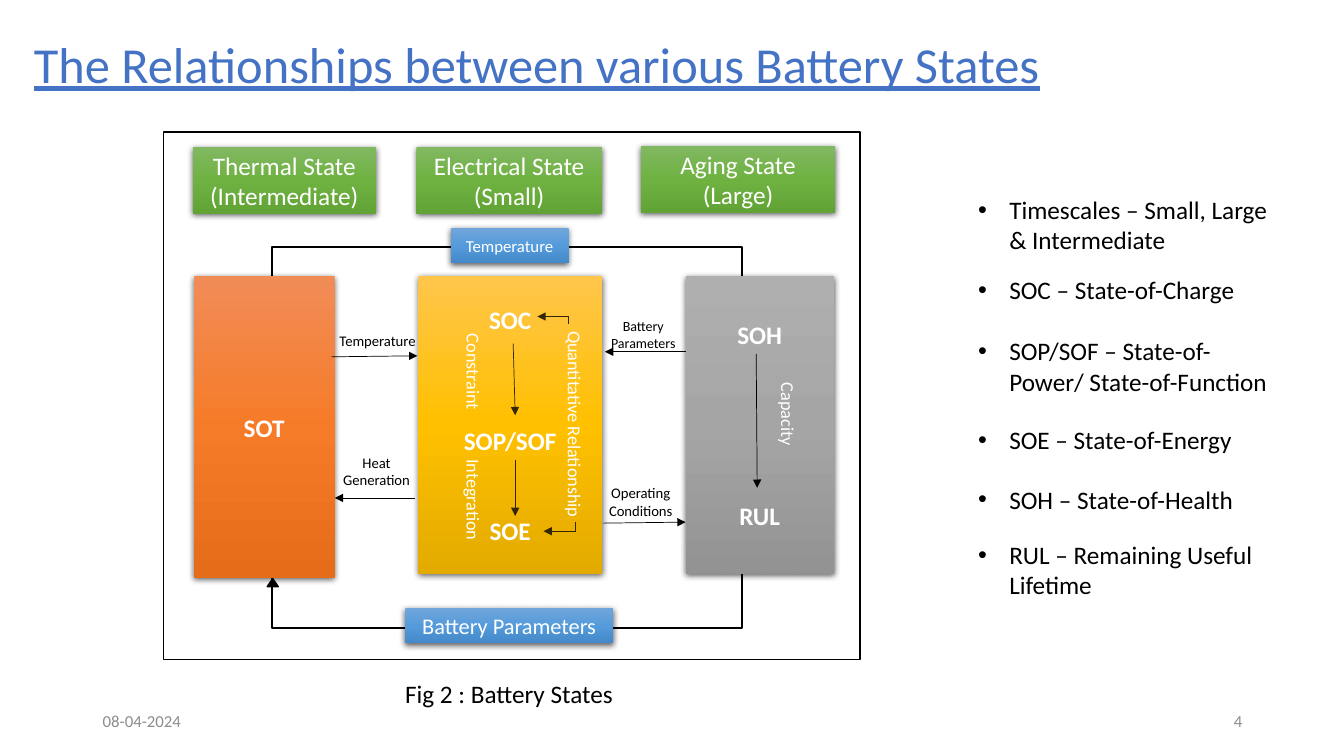
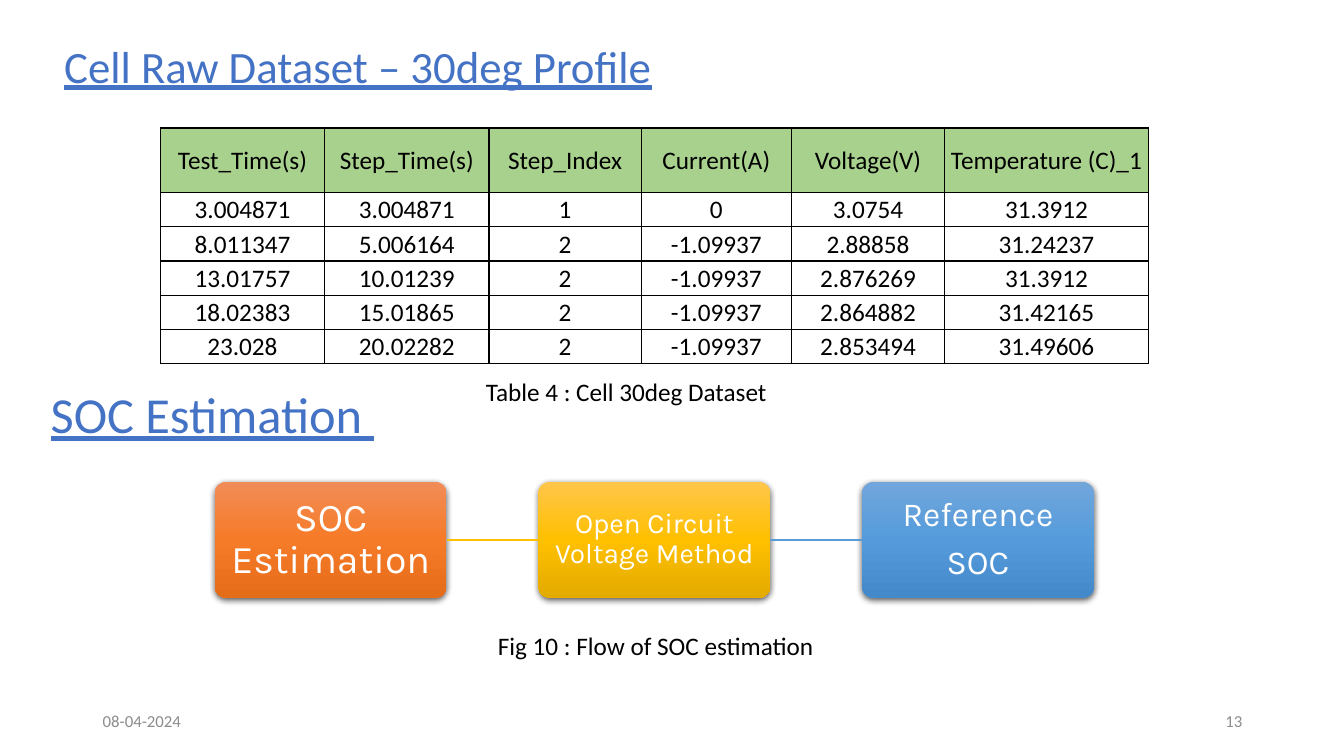
"""Build two slides on battery states and state-of-charge estimation."""
from copy import deepcopy

from lxml.etree import SubElement
from pptx import Presentation
from pptx.dml.color import RGBColor
from pptx.enum.shapes import MSO_CONNECTOR, MSO_SHAPE
from pptx.enum.text import MSO_ANCHOR, MSO_AUTO_SIZE, PP_ALIGN
from pptx.oxml.ns import qn
from pptx.util import Pt

PX = 9144
COLORS = {
    "title": "4472C4",
    "text": "000000",
    "white": "FFFFFF",
    "footer": "8C8C8C",
    "header": "A9D18E",
    "on_amber": "332600",
    "amber_line": "FFC000",
    "blue_line": "5B9BD5",
}
GRADIENTS = {
    "green": ("81B861", "6FB242", "62A336"),
    "orange": ("F18C57", "F67B28", "E56C19"),
    "gray": ("AFAFAF", "A5A5A5", "939393"),
    "amber": ("FFC64B", "FFC000", "E3AB00"),
    "blue": ("71A6DB", "559BDB", "448ACA"),
}
COLORS = {name: RGBColor.from_string(value) for name, value in COLORS.items()}
TITLE = {"color": "title", "underline": True, "spacing": 0.9}
CAPTION = {"align": PP_ALIGN.LEFT, "anchor": MSO_ANCHOR.TOP}


def write(frame, text, size=18, color="text", font="Calibri", bold=False, underline=False,
          align=PP_ALIGN.CENTER, anchor=MSO_ANCHOR.MIDDLE, spacing=1.0, gaps=(), bullet=False):
    """Fill a text frame with one paragraph per line; gaps are points between paragraphs."""
    frame.text = text
    frame.word_wrap = True
    frame.auto_size = MSO_AUTO_SIZE.NONE
    frame.vertical_anchor = anchor
    for index, paragraph in enumerate(frame.paragraphs):
        if bullet:
            properties = paragraph._p.get_or_add_pPr()
            properties.set("marL", str(31 * PX))
            properties.set("indent", str(-31 * PX))
            SubElement(properties, qn("a:buFont"), typeface="Arial")
            SubElement(properties, qn("a:buChar"), char="•")
        paragraph.alignment = align
        paragraph.line_spacing = spacing
        paragraph.space_before = Pt(gaps[index - 1] if index and gaps else 0)
        for run in paragraph.runs:
            run.font.name = font
            run.font.size = Pt(size)
            run.font.bold = bold
            run.font.underline = underline
            run.font.color.rgb = COLORS[color]


def add_gradient_box(slide, box, gradient, text, kind=MSO_SHAPE.RECTANGLE, **text_format):
    """Add a shaded box with a soft shadow and white text."""
    shape = slide.shapes.add_shape(kind, *(value * PX for value in box))
    shape.fill.gradient()
    shape.fill.gradient_angle = 270
    stop_list = shape._element.spPr.find(".//" + qn("a:gsLst"))
    stop_list.insert(1, deepcopy(stop_list[0]))
    for index, stop in enumerate(shape.fill.gradient_stops):
        stop.position = index / 2
        stop.color.rgb = RGBColor.from_string(GRADIENTS[gradient][index])
    shape.line.fill.background()
    shape.shadow.inherit = False
    effects = shape._element.spPr.find(qn("a:effectLst"))
    shadow = SubElement(effects, qn("a:outerShdw"), blurRad="57150", dist="19050",
                        dir="5400000", algn="ctr", rotWithShape="0")
    shadow_color = SubElement(shadow, qn("a:srgbClr"), val="000000")
    SubElement(shadow_color, qn("a:alpha"), val="63000")
    write(shape.text_frame, text, color="white", **text_format)
    return shape


presentation = Presentation()
presentation.slide_width = 1333 * PX
presentation.slide_height = 750 * PX
states_slide = presentation.slides.add_slide(presentation.slide_layouts[1])
dataset_slide = presentation.slides.add_slide(presentation.slide_layouts[5])
connectors = []

headings = [
    (states_slide, (1, 34, 1063, 66), "The Relationships between various Battery States", 36),
    (dataset_slide, (29, 36, 652, 64), "Cell Raw Dataset – 30deg Profile", 32),
]
for slide, box, text, size in headings:
    title = slide.shapes.title
    title.left, title.top, title.width, title.height = (value * PX for value in box)
    write(title.text_frame, text, size=size, **TITLE)

for slide, number in ((states_slide, "4"), (dataset_slide, "13")):
    for left, text, align in ((92, "08-04-2024", PP_ALIGN.LEFT), (942, number, PP_ALIGN.RIGHT)):
        footer = slide.shapes.add_textbox(left * PX, 695 * PX, 300 * PX, 40 * PX)
        write(footer.text_frame, text, size=12, color="footer", align=align)

for box, width in (((162, 131, 691, 523), 0.75), ((270, 245, 466, 378), 1)):
    outline = states_slide.shapes.add_shape(MSO_SHAPE.RECTANGLE, *(value * PX for value in box))
    outline.fill.background()
    outline.line.color.rgb = COLORS["text"]
    outline.line.width = Pt(width)
    outline.shadow.inherit = False

state_boxes = [
    ((191, 146, 182, 66), "green", "Thermal State\n(Intermediate)", {}),
    ((413, 146, 184, 66), "green", "Electrical State\n(Small)", {}),
    ((636, 145, 192, 66), "green", "Aging State\n(Large)", {}),
    ((192, 274, 140, 299), "orange", "SOT", {"bold": True}),
    ((415, 274, 182, 295), "amber", "SOC\nSOP/SOF\nSOE", {"bold": True, "gaps": (65, 43)}),
    ((680, 274, 147, 295), "gray", "SOH\nRUL", {"bold": True, "gaps": (108,)}),
    ((447, 226, 117, 35), "blue", "Temperature", {"size": 12}),
    ((402, 603, 206, 35), "blue", "Battery Parameters", {"size": 16}),
]
for box, gradient, text, text_format in state_boxes:
    add_gradient_box(states_slide, box, gradient, text, **text_format)

arrowhead = states_slide.shapes.add_shape(
    MSO_SHAPE.ISOSCELES_TRIANGLE, 265 * PX, 574 * PX, 11 * PX, 8 * PX)
arrowhead.fill.solid()
arrowhead.fill.fore_color.rgb = COLORS["text"]
arrowhead.line.color.rgb = COLORS["text"]
arrowhead.line.width = Pt(1)
arrowhead.shadow.inherit = False

diagram_labels = [
    ((727, 394, 110, 34), 90, "Capacity", 13, "white"),
    ((415, 352, 110, 34), 90, "Constraint", 13, "white"),
    ((465, 404, 211, 34), 90, "Quantitative Relationship", 13, "white"),
    ((415, 479, 110, 34), 90, "Integration", 13, "white"),
    ((582, 314, 112, 35), 0, "Battery Parameters", 10, "text"),
    ((316, 320, 117, 35), 0, "Temperature", 10.5, "text"),
    ((315, 450, 117, 35), 0, "Heat\nGeneration", 10.5, "text"),
    ((577, 480, 117, 35), 0, "Operating Conditions", 10.5, "text"),
]
for box, rotation, text, size, color in diagram_labels:
    label = states_slide.shapes.add_textbox(*(value * PX for value in box))
    label.rotation = rotation
    write(label.text_frame, text, size=size, color=color)

diagram_lines = [
    ((509, 341, 511, 412), "on_amber", True),
    ((511, 456, 511, 512), "on_amber", True),
    ((564, 314, 533, 314), "on_amber", True),
    ((564, 314, 564, 321), "on_amber", False),
    ((571, 527, 539, 527), "on_amber", True),
    ((571, 527, 571, 518), "on_amber", False),
    ((750, 351, 751, 484), "text", True),
    ((329, 354, 414, 353), "text", True),
    ((412, 494, 332, 494), "text", True),
    ((680, 349, 600, 349), "text", True),
    ((598, 519, 680, 518), "text", True),
]
for ends, color, has_arrow in diagram_lines:
    connector = states_slide.shapes.add_connector(
        MSO_CONNECTOR.STRAIGHT, *(value * PX for value in ends))
    connectors.append((connector, color, 0.5, has_arrow))

abbreviations = states_slide.placeholders[1]
abbreviations.left, abbreviations.top = 960 * PX, 188 * PX
abbreviations.width, abbreviations.height = 318 * PX, 412 * PX
write(abbreviations.text_frame, "\n".join([
    "Timescales – Small, Large & Intermediate",
    "SOC – State-of-Charge",
    "SOP/SOF – State-of-Power/ State-of-Function",
    "SOE – State-of-Energy",
    "SOH – State-of-Health",
    "RUL – Remaining Useful Lifetime",
]), bullet=True, gaps=(14, 22, 20, 21, 18), **CAPTION)

measurements = [
    ("Test_Time(s)", "Step_Time(s)", "Step_Index", "Current(A)", "Voltage(V)", "Temperature (C)_1"),
    ("3.004871", "3.004871", "1", "0", "3.0754", "31.3912"),
    ("8.011347", "5.006164", "2", "-1.09937", "2.88858", "31.24237"),
    ("13.01757", "10.01239", "2", "-1.09937", "2.876269", "31.3912"),
    ("18.02383", "15.01865", "2", "-1.09937", "2.864882", "31.42165"),
    ("23.028", "20.02282", "2", "-1.09937", "2.853494", "31.49606"),
]
table = dataset_slide.shapes.add_table(
    len(measurements), len(measurements[0]), 159 * PX, 127 * PX, 979 * PX, 236 * PX).table
table.first_row = False
table.horz_banding = False
for column, width in zip(table.columns, (163, 163, 151, 149, 152, 202)):
    column.width = width * PX
for row_index, values in enumerate(measurements):
    table.rows[row_index].height = (34 if row_index else 64) * PX
    for column_index, value in enumerate(values):
        cell = table.cell(row_index, column_index)
        cell.margin_left = cell.margin_right = cell.margin_top = PX
        cell.margin_bottom = 0
        cell.vertical_anchor = MSO_ANCHOR.MIDDLE
        write(cell.text_frame, value)
        for side in ("a:lnL", "a:lnR", "a:lnT", "a:lnB"):
            border = SubElement(cell._tc.get_or_add_tcPr(), qn(side), w=str(Pt(1)))
            SubElement(SubElement(border, qn("a:solidFill")), qn("a:srgbClr"), val="000000")
        if row_index:
            cell.fill.background()
        else:
            cell.fill.solid()
            cell.fill.fore_color.rgb = COLORS["header"]

section = dataset_slide.shapes.add_textbox(29 * PX, 382 * PX, 363 * PX, 64 * PX)
write(section.text_frame, "SOC Estimation ", size=36, **TITLE)

flow_steps = [
    ("orange", "SOC Estimation", 28),
    ("amber", "Open Circuit Voltage Method", 20),
    ("blue", "Reference\nSOC", 24),
]
flow_boxes = []
for index, (gradient, text, size) in enumerate(flow_steps):
    step = add_gradient_box(
        dataset_slide, (213 + 321 * index, 478, 230, 115), gradient, text,
        kind=MSO_SHAPE.ROUNDED_RECTANGLE, size=size, font="Karla", spacing=0.9, gaps=(8,))
    step.adjustments[0] = 0.1
    frame = step.text_frame
    frame.margin_left = frame.margin_right = frame.margin_top = frame.margin_bottom = 2 * PX
    flow_boxes.append(step)
for start, end, color in zip(flow_boxes, flow_boxes[1:], ("amber_line", "blue_line")):
    connector = dataset_slide.shapes.add_connector(MSO_CONNECTOR.STRAIGHT, 0, 0, 0, 0)
    connector.begin_connect(start, 3)
    connector.end_connect(end, 1)
    connectors.append((connector, color, 1.25, False))

for connector, color, width, has_arrow in connectors:
    connector.line.color.rgb = COLORS[color]
    connector.line.width = Pt(width)
    if has_arrow:
        SubElement(connector.line._get_or_add_ln(), qn("a:tailEnd"), type="triangle")
    SubElement(connector._element.spPr, qn("a:effectLst"))

captions = [
    (states_slide, (392, 668, 440, 40), "Fig 2 : Battery States"),
    (dataset_slide, (472, 368, 330, 40), "Table 4 : Cell 30deg Dataset"),
    (dataset_slide, (484, 620, 490, 40), "Fig 10 : Flow of SOC estimation"),
]
for slide, box, text in captions:
    caption = slide.shapes.add_textbox(*(value * PX for value in box))
    write(caption.text_frame, text, **CAPTION)

presentation.save("out.pptx")
